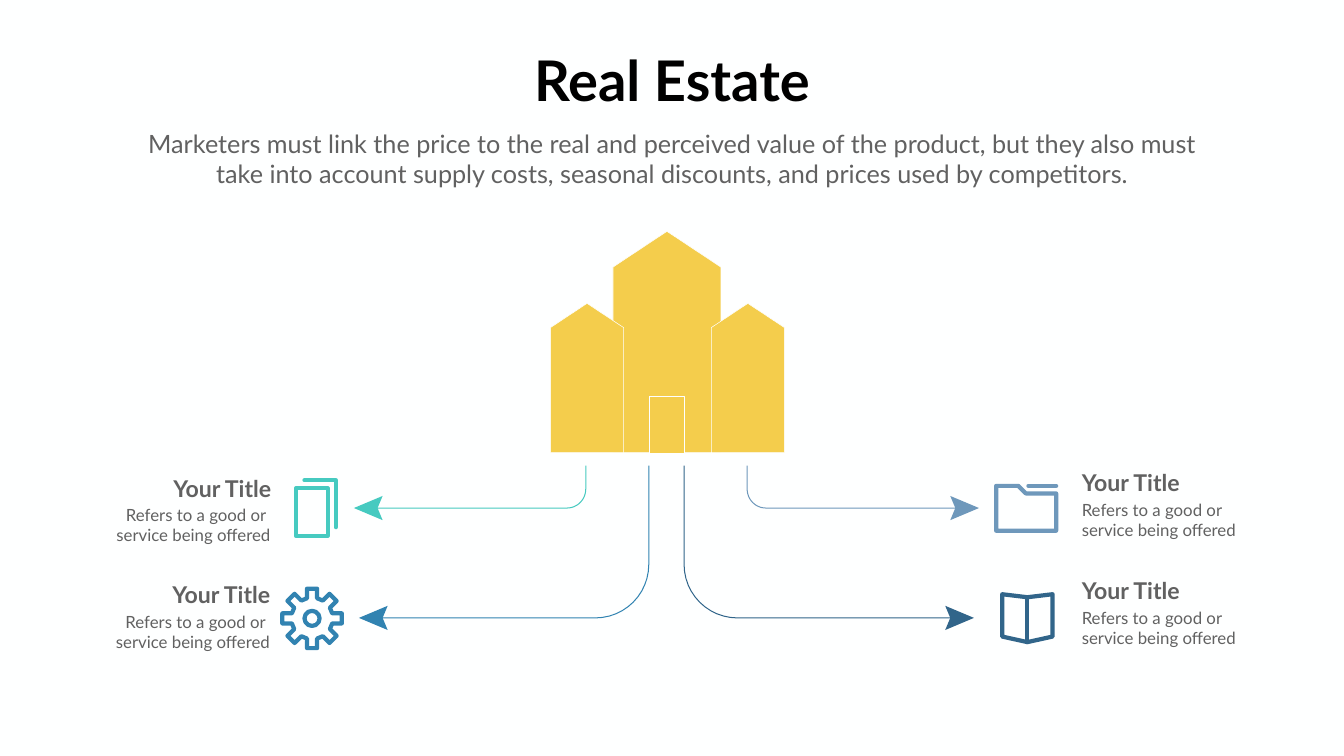
from math import cos, pi, sin

from lxml import etree
from pptx import Presentation
from pptx.dml.color import RGBColor
from pptx.enum.shapes import MSO_SHAPE
from pptx.enum.text import MSO_ANCHOR, MSO_AUTO_SIZE, PP_ALIGN
from pptx.oxml.ns import qn
from pptx.util import Inches, Pt

LEFT, CENTER, RIGHT = PP_ALIGN.LEFT, PP_ALIGN.CENTER, PP_ALIGN.RIGHT
TOP = MSO_ANCHOR.TOP
NO_AUTOSIZE = MSO_AUTO_SIZE.NONE
OVAL = MSO_SHAPE.OVAL

FONT = "Lato"
PAPER = RGBColor(0xFE, 0xFF, 0xFF)
BLACK = RGBColor(0x00, 0x00, 0x00)
GREY = RGBColor(0x61, 0x61, 0x61)
YELLOW = RGBColor(0xF4, 0xCD, 0x4C)
TEAL = RGBColor(0x46, 0xCA, 0xC0)
BLUE = RGBColor(0x31, 0x83, 0xB1)
STEEL = RGBColor(0x6E, 0x98, 0xBB)
NAVY = RGBColor(0x31, 0x65, 0x8A)

TITLE = "Real Estate"
SUBTITLE = ("Marketers must link the price to the real and perceived value of the product, "
            "but they also must take into account supply costs, seasonal discounts, "
            "and prices used by competitors.")
HEADING = "Your Title"
LEFT_DETAIL = ["Refers to a good or ", "service being offered"]
RIGHT_DETAIL = ["Refers to a good or", "service being offered"]

# left, top of heading, alignment, detail lines, left of detail
ITEMS = [
    (3.18, 9.36, RIGHT, LEFT_DETAIL, 1.94),
    (3.16, 11.47, RIGHT, LEFT_DETAIL, 1.93),
    (21.36, 9.25, LEFT, RIGHT_DETAIL, 21.36),
    (21.36, 11.39, LEFT, RIGHT_DETAIL, 21.36),
]
HOUSES = [(12.16, 14.3, 4.59, 5.3), (14.11, 15.56, 6.02, 6.5), (10.92, 12.37, 6.02, 6.5)]
HOUSE_BASE = 8.98
DOOR = [(12.88, 7.86), (13.58, 7.86), (13.58, 8.99), (12.88, 8.99)]

AXIS, ARROW_TOP = 13.22, 9.24
ARROWS = [
    (1, 1.6, 6.2, 10.08, 0.46, 0.37, STEEL),
    (1, 0.35, 6.1, 12.26, 1.96, 1.06, NAVY),
    (-1, 1.6, 6.2, 10.08, 0.46, 0.37, TEAL),
    (-1, 0.35, 6.1, 12.26, 1.96, 1.06, BLUE),
]

GEAR_CENTER, HUB_RADIUS, TEETH = (6.19, 12.27), 0.15, 8
TOOTH = [(-0.1, -0.4), (-0.1, -0.59), (0.1, -0.59), (0.1, -0.4)]
ICON_STROKE = 6
ICON_LINES = [
    ([(5.87, 9.69), (6.5, 9.69), (6.5, 10.63), (5.87, 10.63)], True, TEAL),
    ([(6.04, 9.53), (6.66, 9.53), (6.66, 10.46)], False, TEAL),
    ([(19.76, 9.64), (20.2, 9.64), (20.35, 9.79), (20.95, 9.79),
      (20.95, 10.53), (19.76, 10.53)], True, STEEL),
    ([(20.4, 9.64), (20.95, 9.64)], False, STEEL),
    ([(19.88, 11.79), (20.38, 11.85), (20.88, 11.79),
      (20.88, 12.63), (20.38, 12.74), (19.88, 12.63)], True, NAVY),
    ([(20.38, 11.85), (20.38, 12.74)], False, NAVY),
]


def paint(shape, fill, line, width):
    shape.shadow.inherit = False
    if fill is None:
        shape.fill.background()
    else:
        shape.fill.solid()
        shape.fill.fore_color.rgb = fill
    if line is None:
        shape.line.fill.background()
    else:
        shape.line.color.rgb = line
        shape.line.width = Pt(width)


def outline(points, closed=True, fill=None, line=None, width=0.75):
    corners = [(Inches(x), Inches(y)) for x, y in points]
    builder = slide.shapes.build_freeform(*corners[0], scale=1.0)
    builder.add_line_segments(corners[1:], close=closed)
    shape = builder.convert_to_shape()
    paint(shape, fill, line, width)
    return shape


def icon_line(points, closed, color):
    stroke = outline(points, closed, line=color, width=ICON_STROKE).line._get_or_add_ln()
    stroke.set("cap", "rnd")
    etree.SubElement(stroke, qn("a:round"))


def place(shape, left, top, width, height):
    shape.left, shape.top = Inches(left), Inches(top)
    shape.width, shape.height = Inches(width), Inches(height)


def write(shape, lines, size, color, align, bold=False, wrap=True):
    frame = shape.text_frame
    frame.text = "\n".join(lines)
    frame.word_wrap = wrap
    frame.auto_size = NO_AUTOSIZE
    frame.vertical_anchor = TOP
    for paragraph in frame.paragraphs:
        paragraph.alignment = align
        for run in paragraph.runs:
            run.font.name, run.font.size, run.font.bold = FONT, Pt(size), bold
            run.font.color.rgb = color


def add_text(left, top, width, height, lines, size, align, bold=False):
    box = slide.shapes.add_textbox(Inches(left), Inches(top), Inches(width), Inches(height))
    write(box, lines, size, GREY, align, bold)


def add_arrow(side, start, tip, y, drop, radius, color):
    bend_y = ARROW_TOP + drop
    bend = [(start + radius * (1 - cos(step * pi / 24)),
             bend_y + (y - bend_y) * sin(step * pi / 24)) for step in range(13)]
    route = [(start, ARROW_TOP), *bend, (tip - 0.39, y)]
    head = [(tip - 0.57, y - 0.24), (tip, y), (tip - 0.57, y + 0.24), (tip - 0.47, y)]
    route, head = ([(AXIS + side * x, py) for x, py in part] for part in (route, head))
    outline(route, False, line=color, width=1.45)
    outline(head, fill=color)


def add_gear(color):
    cx, cy = GEAR_CENTER
    rim = []
    for tooth in range(TEETH):
        angle = 2 * pi * tooth / TEETH
        rim += [(cx + x * cos(angle) - y * sin(angle), cy + x * sin(angle) + y * cos(angle))
                for x, y in TOOTH]
    icon_line(rim, True, color)
    hub = slide.shapes.add_shape(OVAL, Inches(cx - HUB_RADIUS), Inches(cy - HUB_RADIUS),
                                 Inches(2 * HUB_RADIUS), Inches(2 * HUB_RADIUS))
    paint(hub, None, color, ICON_STROKE)


deck = Presentation()
deck.slide_width, deck.slide_height = Inches(26.66), Inches(15)
slide = deck.slides.add_slide(deck.slide_layouts[5])
slide.background.fill.solid()
slide.background.fill.fore_color.rgb = PAPER

title = slide.shapes.title
place(title, 10.42, 0.85, 5.82, 1.45)
write(title, [TITLE], 80, BLACK, CENTER, bold=True, wrap=False)
add_text(2.68, 2.5, 21.3, 1.31, [SUBTITLE], 36, CENTER)

for left, right, peak, eave in HOUSES:
    outline([(left, HOUSE_BASE), (left, eave), ((left + right) / 2, peak),
             (right, eave), (right, HOUSE_BASE)], fill=YELLOW, line=PAPER)
outline(DOOR, fill=YELLOW, line=PAPER)

for arrow in ARROWS:
    add_arrow(*arrow)
for icon in ICON_LINES:
    icon_line(*icon)
add_gear(BLUE)

for left, top, align, detail, detail_left in ITEMS:
    add_text(left, top, 2.3, 0.66, [HEADING], 33, align, bold=True)
    add_text(detail_left, top + 0.61, 3.52, 0.91, detail, 24, align)

deck.save("out.pptx")
